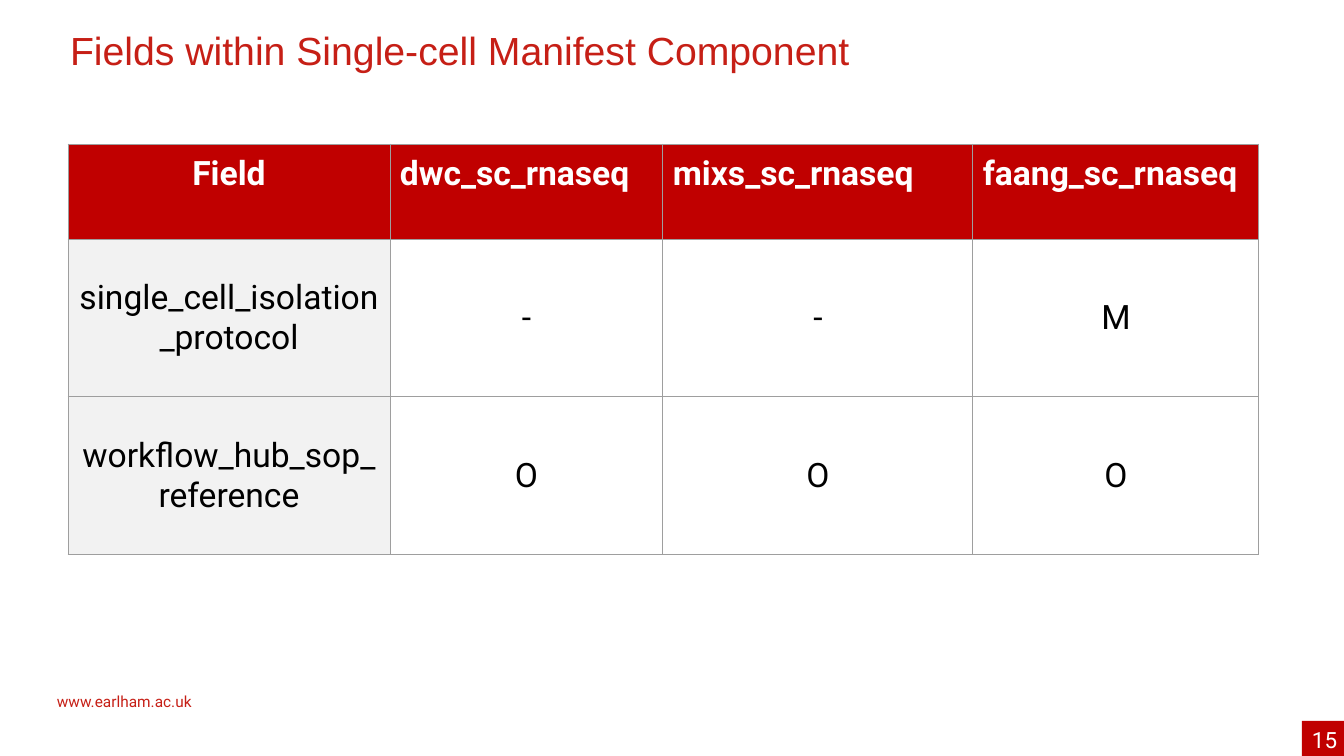
from lxml.etree import SubElement
from pptx import Presentation
from pptx.dml.color import RGBColor
from pptx.enum.shapes import MSO_SHAPE
from pptx.enum.text import MSO_ANCHOR, MSO_AUTO_SIZE, PP_ALIGN
from pptx.oxml.ns import qn
from pptx.util import Pt

THEME = {
    "title": ("Arial", 28, "C61F16"),
    "site": ("Roboto", 11, "C61F16"),
    "number": ("Roboto", 16, "FFFFFF"),
    "header": ("Roboto", 24, "FFFFFF"),
    "body": ("Roboto", 24, "000000"),
    "red": "C00000",
    "grey": "F2F2F2",
    "border": "9E9E9E",
}
PX = 9071


def px(*values):
    return [v * PX for v in values]


def write(tf, text, style, align=PP_ALIGN.LEFT, bold=False):
    name, size, color = THEME[style]
    p = tf.paragraphs[0]
    p.text = text
    p.alignment = align
    p.font.name = name
    p.font.size = Pt(size)
    p.font.bold = bold
    p.font.color.rgb = RGBColor.from_string(color)


prs = Presentation()
prs.slide_width, prs.slide_height = px(1344, 756)
s = prs.slides.add_slide(prs.slide_layouts[5])

title = s.shapes.title
title.left, title.top, title.width, title.height = px(60, 21, 1228, 126)
tf = title.text_frame
tf.word_wrap = True
tf.auto_size = MSO_AUTO_SIZE.NONE
tf.vertical_anchor = MSO_ANCHOR.TOP
write(tf, "Fields within Single-cell Manifest Component", "title")

site = s.shapes.add_textbox(*px(47, 687, 264, 29))
site.text_frame.word_wrap = True
write(site.text_frame, "www.earlham.ac.uk", "site")

rows = [
    ("Field", "dwc_sc_rnaseq", "mixs_sc_rnaseq", "faang_sc_rnaseq"),
    ("single_cell_isolation_protocol", "-", "-", "M"),
    ("workflow_hub_sop_reference", "O", "O", "O"),
]
widths = px(322, 273, 310, 286)
heights = px(95, 158, 158)
table = s.shapes.add_table(len(rows), len(widths), *px(68, 144), sum(widths), sum(heights)).table
for col, width in zip(table.columns, widths):
    col.width = width
for row, height in zip(table.rows, heights):
    row.height = height

for i, row in enumerate(rows):
    for j, text in enumerate(row):
        cell = table.cell(i, j)
        cell.margin_left, cell.margin_right, cell.margin_top, cell.margin_bottom = px(10, 10, 10, 10)
        cell.vertical_anchor = MSO_ANCHOR.MIDDLE if i else MSO_ANCHOR.TOP
        tcPr = cell._tc.get_or_add_tcPr()
        for side in ("a:lnL", "a:lnR", "a:lnT", "a:lnB"):
            ln = SubElement(tcPr, qn(side), w=str(Pt(0.75)))
            fill = SubElement(ln, qn("a:solidFill"))
            SubElement(fill, qn("a:srgbClr"), val=THEME["border"])
        if i and j:
            cell.fill.background()
        else:
            cell.fill.solid()
            cell.fill.fore_color.rgb = RGBColor.from_string(THEME["grey" if i else "red"])
        align = PP_ALIGN.CENTER if i or j == 0 else PP_ALIGN.LEFT
        write(cell.text_frame, text, "body" if i else "header", align, bold=i == 0)

number = s.shapes.add_shape(MSO_SHAPE.RECTANGLE, *px(1302, 721, 42, 35))
number.shadow.inherit = False
number.fill.solid()
number.fill.fore_color.rgb = RGBColor.from_string(THEME["red"])
number.line.fill.background()
tf = number.text_frame
tf.word_wrap = False
tf.vertical_anchor = MSO_ANCHOR.TOP
tf.margin_left, tf.margin_right, tf.margin_top, tf.margin_bottom = px(10, 0, 5, 0)
write(tf, "15", "number")

prs.save("out.pptx")
